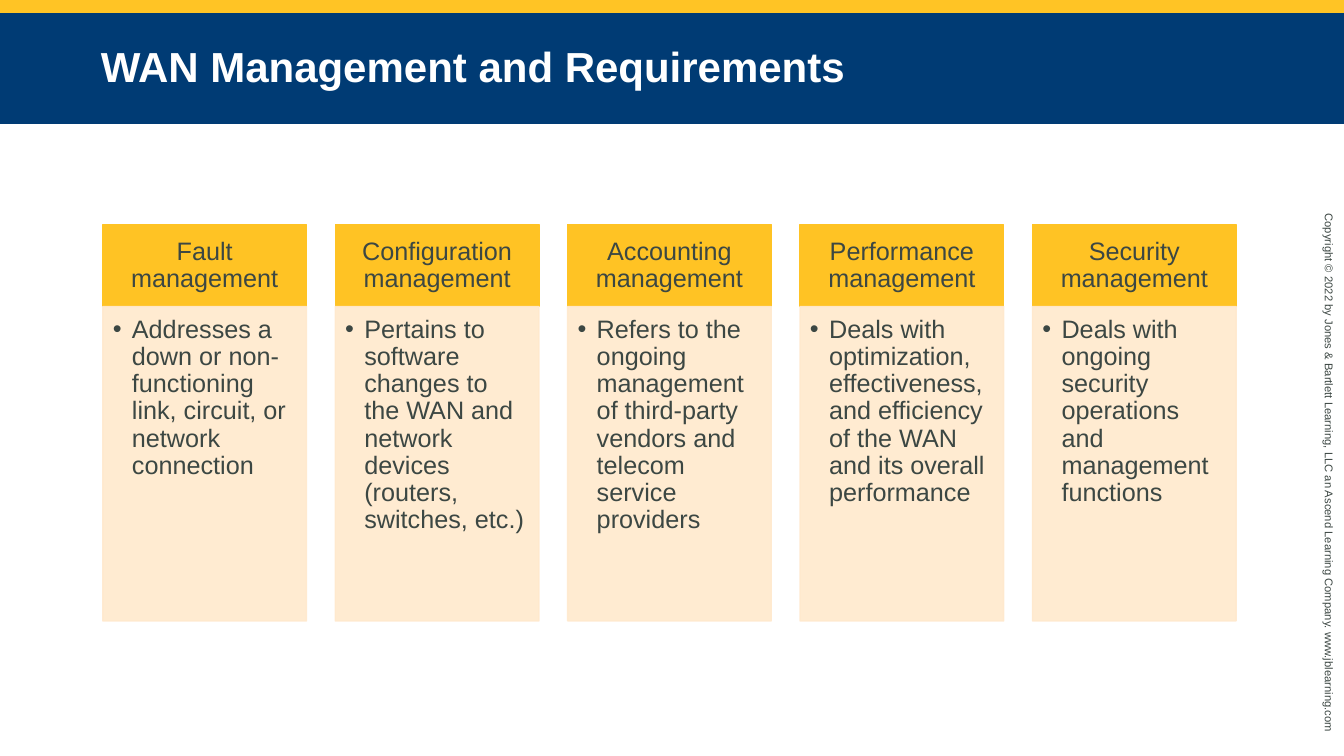
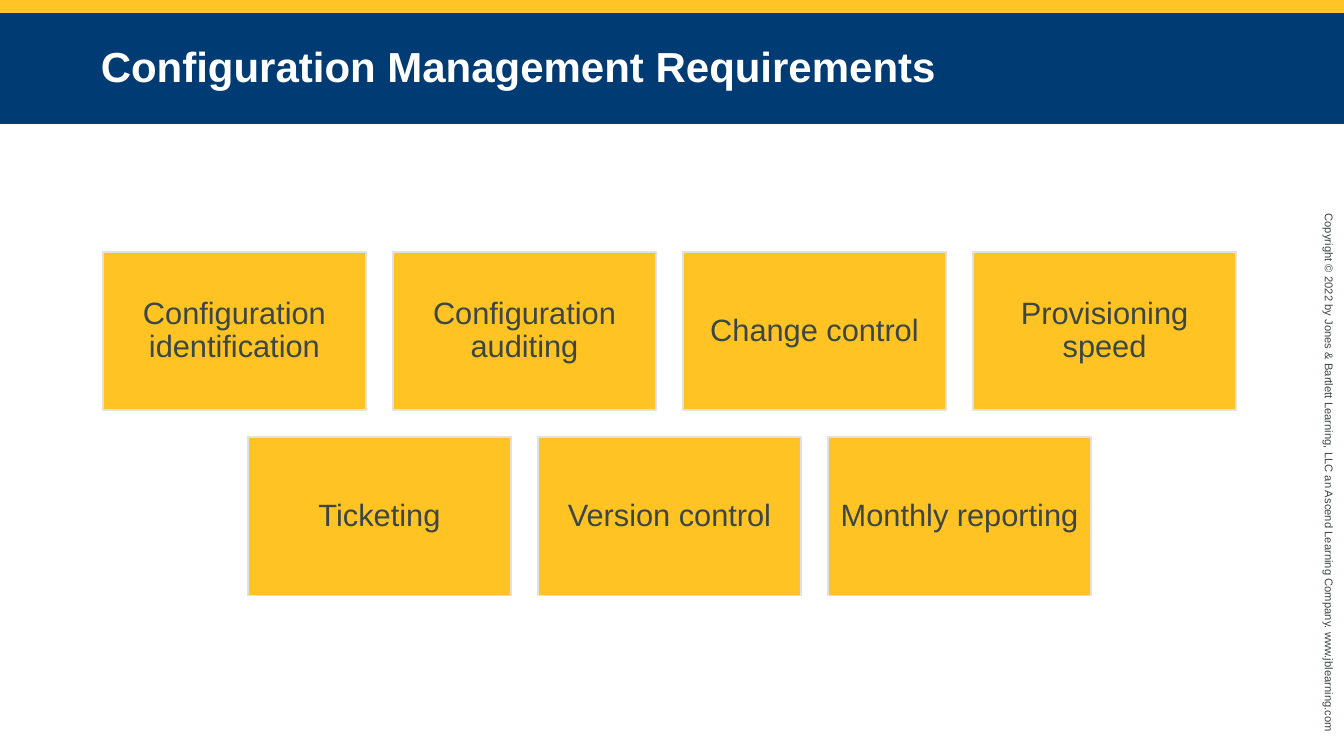
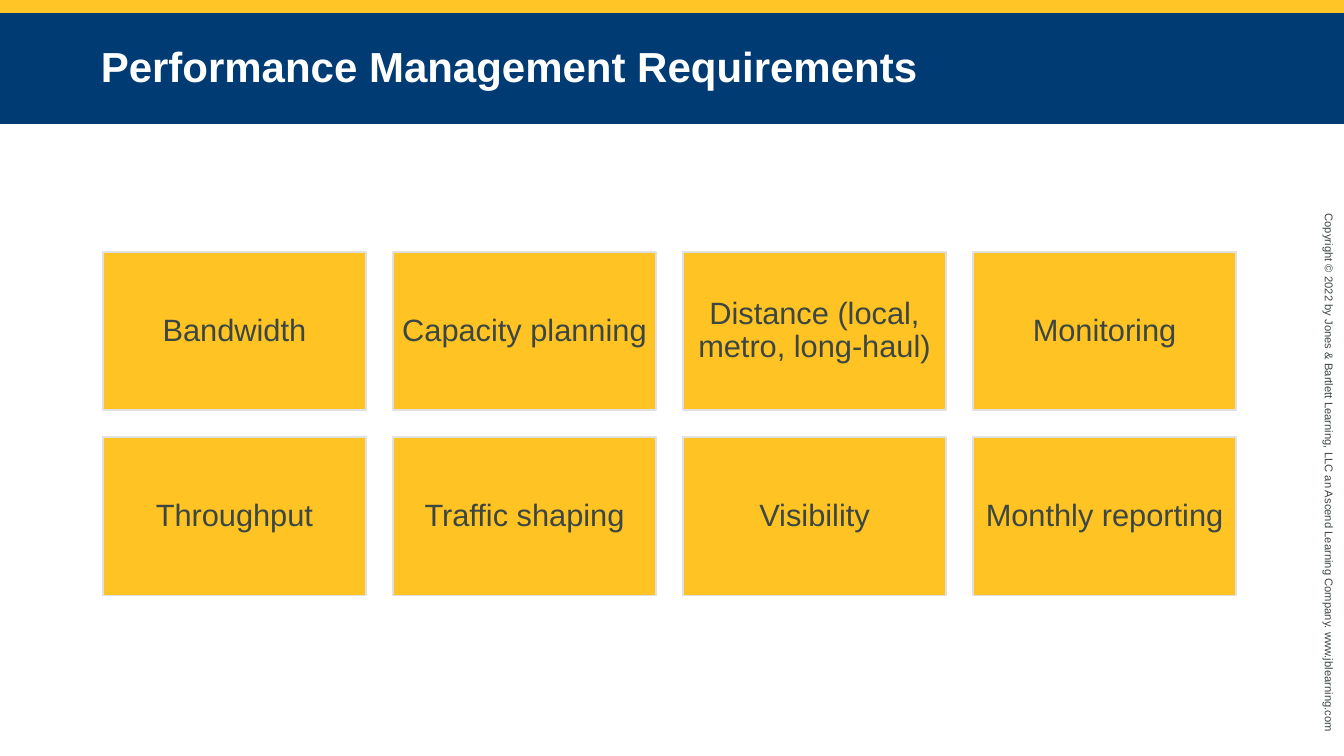
from lxml.etree import SubElement
from pptx import Presentation
from pptx.dml.color import RGBColor
from pptx.enum.shapes import MSO_SHAPE as Shape
from pptx.enum.text import MSO_ANCHOR as Anchor, MSO_AUTO_SIZE as AutoSize, PP_ALIGN as Align
from pptx.oxml.ns import qn
from pptx.util import Inches, Pt

GOLD, TILE_GOLD, NAVY, CREAM = "FFC425", "FFC324", "003B74", "FFE9CD"
WHITE, INK, TILE_EDGE = "FFFFFF", "3C4743", "E1E1E1"
SLIDE_WIDTH, SLIDE_HEIGHT = 13.33, 7.5
CONTENT_LEFT, CONTENT_WIDTH = 1.02, 11.24
TOP_BAND, TITLE_HEIGHT = 0.13, 1.1
CARD_WIDTH, CARD_TOP, HEADING_HEIGHT, DETAIL_HEIGHT = 2.02, 2.23, 0.81, 3.12
TILE_WIDTH, TILE_HEIGHT, TILE_TOP, TILES_PER_ROW = 2.61, 1.57, 2.5, 4
COPYRIGHT = ("Copyright © 2022 by Jones & Bartlett Learning, LLC "
             "an Ascend Learning Company. www.jblearning.com")

TITLE = dict(size=30, color=WHITE, bold=True, spacing=0.95, align=Align.LEFT,
             anchor=Anchor.MIDDLE, insets=(1, 0.05, 1, 0.05))
HEADING = dict(size=18, spacing=0.9, align=Align.CENTER,
               anchor=Anchor.MIDDLE, insets=(0.14, 0.08, 0.14, 0.08))
DETAIL = dict(size=18, spacing=0.9, align=Align.LEFT,
              anchor=Anchor.TOP, insets=(0.1, 0.1, 0.14, 0.16), bullet=True)
TILE = dict(size=22, spacing=0.9, align=Align.CENTER,
            anchor=Anchor.MIDDLE, insets=(0.09, 0.09, 0.09, 0.09))
FOOTER = dict(size=8, spacing=1.0, align=Align.LEFT,
              anchor=Anchor.TOP, insets=(0.1, 0.05, 0.1, 0.05))

MANAGEMENT_AREAS = [
    ("Fault management",
     "Addresses a down or non-functioning link, circuit, or network connection"),
    ("Configuration management",
     "Pertains to software changes to the WAN and network devices (routers, switches, etc.)"),
    ("Accounting management",
     "Refers to the ongoing management of third-party vendors and telecom service providers"),
    ("Performance management",
     "Deals with optimization, effectiveness, and efficiency of the WAN and its overall performance"),
    ("Security management",
     "Deals with ongoing security operations and management functions"),
]
CONFIGURATION_NEEDS = [
    "Configuration identification", "Configuration auditing", "Change control",
    "Provisioning speed", "Ticketing", "Version control", "Monthly reporting",
]
PERFORMANCE_NEEDS = [
    "Bandwidth", "Capacity planning", "Distance (local, metro, long-haul)", "Monitoring",
    "Throughput", "Traffic shaping", "Visibility", "Monthly reporting",
]


def rgb(value):
    """Turn a hex string into a colour."""
    return RGBColor.from_string(value)


def set_all(target, values):
    """Set every attribute named in a dict."""
    for name, value in values.items():
        setattr(target, name, value)


def add_bullet(paragraph):
    """Give a paragraph a hanging bullet."""
    properties = paragraph._p.get_or_add_pPr()
    properties.set("marL", str(Inches(0.19)))
    properties.set("indent", str(-Inches(0.19)))
    SubElement(properties, qn("a:buFont"), typeface="Arial")
    SubElement(properties, qn("a:buChar"), char="•")


def write(holder, text, style):
    """Write one styled paragraph into a shape."""
    frame = holder.text_frame
    sides = ("margin_left", "margin_top", "margin_right", "margin_bottom")
    set_all(frame, dict(zip(sides, map(Inches, style["insets"]))))
    set_all(frame, dict(word_wrap=True, vertical_anchor=style["anchor"]))
    paragraph = frame.paragraphs[0]
    if style.get("bullet"):
        add_bullet(paragraph)
    set_all(paragraph, dict(alignment=style["align"], line_spacing=style["spacing"]))
    run = paragraph.add_run()
    run.text = text
    set_all(run.font, dict(name="Arial", size=Pt(style["size"]), bold=style.get("bold", False)))
    run.font.color.rgb = rgb(style.get("color", INK))


def add_panel(slide, box, fill, edge=None, opacity=None):
    """Add a flat rectangle with an optional edge and opacity."""
    panel = slide.shapes.add_shape(Shape.RECTANGLE, *map(Inches, box))
    panel.shadow.inherit = False
    panel.fill.solid()
    panel.fill.fore_color.rgb = rgb(fill)
    if edge:
        panel.line.color.rgb = rgb(edge)
        panel.line.width = Pt(1)
    else:
        panel.line.fill.background()
    if opacity:
        for color in panel._element.spPr.iter(qn("a:srgbClr")):
            SubElement(color, qn("a:alpha"), val=str(opacity * 1000))
    return panel


def add_titled_slide(deck, title):
    """Add a slide with the shared bands, title and copyright line."""
    slide = deck.slides.add_slide(deck.slide_layouts[6])
    add_panel(slide, (0, 0, SLIDE_WIDTH, TOP_BAND), GOLD)
    footer = slide.shapes.add_textbox(*map(Inches, (10.44, 4.64, 5.48, 0.24)))
    footer.rotation = 90
    write(footer, COPYRIGHT, FOOTER)
    footer.text_frame.auto_size = AutoSize.SHAPE_TO_FIT_TEXT
    write(add_panel(slide, (0, TOP_BAND, SLIDE_WIDTH, TITLE_HEIGHT), NAVY), title, TITLE)
    return slide


def add_cards(slide, cards):
    """Spread heading and detail cards evenly over the content width."""
    pitch = (CONTENT_WIDTH - CARD_WIDTH) / (len(cards) - 1)
    for column, (heading, detail) in enumerate(cards):
        left = CONTENT_LEFT + column * pitch
        heading_box = (left, CARD_TOP, CARD_WIDTH, HEADING_HEIGHT)
        detail_box = (left, CARD_TOP + HEADING_HEIGHT, CARD_WIDTH, DETAIL_HEIGHT)
        write(add_panel(slide, heading_box, TILE_GOLD, TILE_GOLD), heading, HEADING)
        write(add_panel(slide, detail_box, CREAM, CREAM, 90), detail, DETAIL)


def add_tiles(slide, labels):
    """Lay labels out in rows of tiles, centring a short row."""
    pitch = (CONTENT_WIDTH - TILE_WIDTH) / (TILES_PER_ROW - 1)
    gap = pitch - TILE_WIDTH
    for start in range(0, len(labels), TILES_PER_ROW):
        row = labels[start:start + TILES_PER_ROW]
        row_left = CONTENT_LEFT + (TILES_PER_ROW - len(row)) * pitch / 2
        top = TILE_TOP + start // TILES_PER_ROW * (TILE_HEIGHT + gap)
        for column, label in enumerate(row):
            box = (row_left + column * pitch, top, TILE_WIDTH, TILE_HEIGHT)
            write(add_panel(slide, box, TILE_GOLD, TILE_EDGE), label, TILE)


def main():
    """Build and save the deck."""
    deck = Presentation()
    set_all(deck, dict(slide_width=Inches(SLIDE_WIDTH), slide_height=Inches(SLIDE_HEIGHT)))
    add_cards(add_titled_slide(deck, "WAN Management and Requirements"), MANAGEMENT_AREAS)
    add_tiles(add_titled_slide(deck, "Configuration Management Requirements"), CONFIGURATION_NEEDS)
    add_tiles(add_titled_slide(deck, "Performance Management Requirements"), PERFORMANCE_NEEDS)
    deck.save("out.pptx")


if __name__ == "__main__":
    main()
